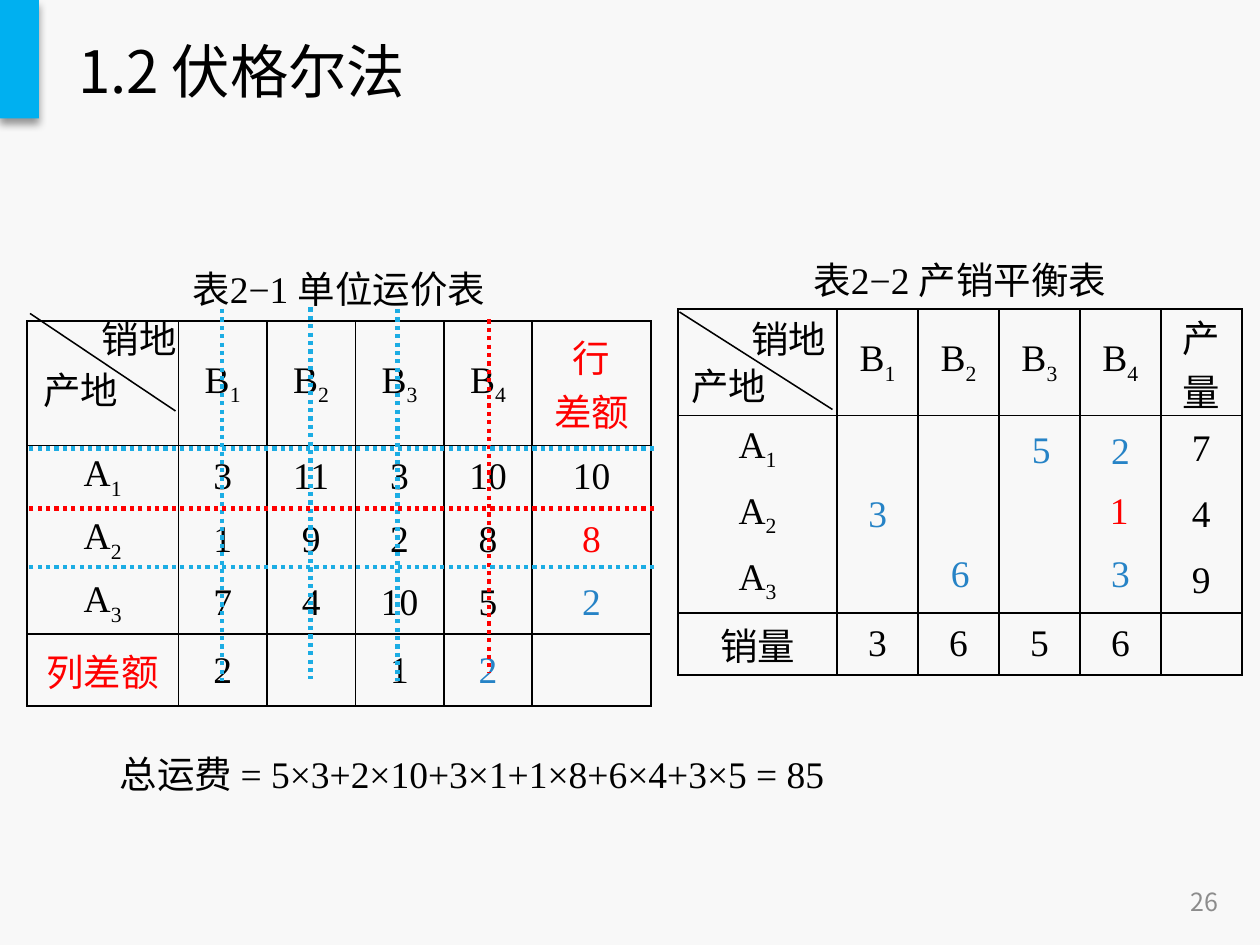
from lxml import etree
from pptx import Presentation
from pptx.dml.color import RGBColor
from pptx.enum.dml import MSO_LINE
from pptx.enum.shapes import MSO_CONNECTOR, MSO_SHAPE
from pptx.enum.text import MSO_ANCHOR, PP_ALIGN
from pptx.oxml.ns import qn
from pptx.util import Inches, Pt

LEFT, CENTER, RIGHT = PP_ALIGN.LEFT, PP_ALIGN.CENTER, PP_ALIGN.RIGHT
JUSTIFY = PP_ALIGN.JUSTIFY
TOP, MIDDLE = MSO_ANCHOR.TOP, MSO_ANCHOR.MIDDLE
DOTTED = MSO_LINE.ROUND_DOT
STRAIGHT = MSO_CONNECTOR.STRAIGHT
RECTANGLE = MSO_SHAPE.RECTANGLE

SANS, SERIF = "Noto Sans CJK SC", "Times New Roman"
BLACK, RED, BLUE, CYAN = "000000", "FF0000", "2683C6", "1CADE4"


def color(value):
    return RGBColor.from_string(value)


def inches(values):
    return [Inches(value) for value in values]


class SlideBuilder:
    def __init__(self, deck, background):
        self.page = deck.slides.add_slide(deck.slide_layouts[5])
        self.shapes = self.page.shapes
        self.page.background.fill.solid()
        self.page.background.fill.fore_color.rgb = color(background)

    def fill_text(self, frame, text, size=18, font=SERIF, ink=BLACK, align=LEFT, spacing=None):
        """Fill a frame; a newline starts a paragraph, an underscore a subscript."""
        for index, line in enumerate(text.split("\n")):
            para = frame.paragraphs[0] if index == 0 else frame.add_paragraph()
            for name, value in {"alignment": align, "line_spacing": spacing}.items():
                setattr(para, name, value)
            for part, content in enumerate(line.split("_")):
                span = para.add_run()
                span.text = content
                for name, value in {"name": font, "size": Pt(size), "bold": False}.items():
                    setattr(span.font, name, value)
                span.font.color.rgb = color(ink)
                properties = span._r.get_or_add_rPr()
                etree.SubElement(properties, qn("a:ea"), typeface=SANS)
                if part:
                    properties.set("baseline", "-25000")

    def title(self, at, text, **style):
        box = self.shapes.title
        for name, value in zip(("left", "top", "width", "height"), inches(at)):
            setattr(box, name, value)
        box.text_frame.vertical_anchor = MIDDLE
        self.fill_text(box.text_frame, text, **style)

    def text(self, at, text, anchor=TOP, **style):
        frame = self.shapes.add_textbox(*inches(at)).text_frame
        frame.word_wrap = True
        frame.vertical_anchor = anchor
        self.fill_text(frame, text, **style)

    def accent(self, at, fill):
        """Draw a borderless bar with a soft shadow below it."""
        bar = self.shapes.add_shape(RECTANGLE, *inches(at))
        bar.shadow.inherit = False
        bar.fill.solid()
        bar.fill.fore_color.rgb = color(fill)
        bar.line.fill.background()
        effects = bar._element.spPr.find(qn("a:effectLst"))
        shadow = etree.SubElement(effects, qn("a:outerShdw"), blurRad=str(Pt(4)),
                                  dist=str(Pt(3)), dir="5400000", rotWithShape="0")
        tint = etree.SubElement(shadow, qn("a:srgbClr"), val=BLACK)
        etree.SubElement(tint, qn("a:alpha"), val="40000")

    def line(self, start, end, ink=BLACK, width=0.75, dash=None):
        line = self.shapes.add_connector(STRAIGHT, *inches(start + end))
        for name, value in {"width": Pt(width), "dash_style": dash}.items():
            setattr(line.line, name, value)
        line.line.color.rgb = color(ink)
        etree.SubElement(line._element.spPr, qn("a:effectLst"))

    def borders(self, cell, sides):
        properties = cell._tc.get_or_add_tcPr()
        for side in "LRTB":
            edge = etree.SubElement(properties, qn(f"a:ln{side}"), w=str(Pt(1)))
            if side in sides:
                fill = etree.SubElement(edge, qn("a:solidFill"))
                etree.SubElement(fill, qn("a:srgbClr"), val=BLACK)
            else:
                etree.SubElement(edge, qn("a:noFill"))

    def table(self, left, top, columns, heights, rows):
        """Draw a table whose first row is a caption across all columns."""
        frame = self.shapes.add_table(len(rows), len(columns),
                                      *inches((left, top, sum(columns), sum(heights))))
        table = frame.table
        for name in ("first_row", "horz_banding"):
            setattr(table, name, False)
        for column, width in zip(table.columns, columns):
            column.width = Inches(width)
        row_sides = ("B", "LTRB", "LTR", "LR", "LRB", "LTRB")
        for row, height, values, sides in zip(table.rows, heights, rows, row_sides):
            row.height = Inches(height)
            for cell, value in zip(row.cells, values):
                self.borders(cell, sides)
                cell.fill.background()
                cell.vertical_anchor = MIDDLE
                cell.margin_top = cell.margin_bottom = 0
                text, ink = value if isinstance(value, tuple) else (value, BLACK)
                if text:
                    self.fill_text(cell.text_frame, text, ink=ink, align=CENTER)
        table.cell(0, 0).merge(table.cell(0, len(columns) - 1))

    def corner(self, start, end, market_at, origin_at):
        """Split the header corner between markets and origins."""
        self.line(start, end)
        self.text(market_at, "销地")
        self.text(origin_at, "产地")


def main():
    deck = Presentation()
    deck.slide_width, deck.slide_height = inches((8.4, 6.3))
    slide = SlideBuilder(deck, "F8F8F8")
    slide.accent((0, 0, 0.26, 0.79), "00B0F0")
    slide.title((0.42, 0.16, 7.56, 0.61), "1.2 伏格尔法", size=28, font=SANS)
    slide.text((6.26, 5.84, 1.96, 0.34), "26", anchor=MIDDLE, size=12, font=SANS,
               ink="8C8C8C", align=RIGHT)

    markets = ["B_1", "B_2", "B_3", "B_4"]
    slide.table(0.18, 1.69, [1.01] + [0.59] * 4 + [0.79],
                [0.45, 0.83] + [0.42] * 3 + [0.48], [
        ["表2−1 单位运价表"] + [""] * 5,
        ["", *markets, ("行\n差额", RED)],
        ["A_1", "3", "11", "3", "10", "10"],
        ["A_2", "1", "9", "2", "8", ("8", RED)],
        ["A_3", "7", "4", "10", "5", ("2", BLUE)],
        [("列差额", RED), "2", "", "1", ("2", BLUE), ""],
    ])
    slide.corner((0.2, 2.09), (1.17, 2.74), (0.58, 2.06, 0.78, 0.4), (0.19, 2.4, 0.89, 0.4))

    slide.table(4.52, 1.65, [1.06] + [0.54] * 5,
                [0.41, 0.71] + [0.44] * 3 + [0.41], [
        ["表2−2 产销平衡表"] + [""] * 5,
        ["", *markets, "产量"],
        ["A_1"] + [""] * 4 + ["7"],
        ["A_2"] + [""] * 4 + ["4"],
        ["A_3"] + [""] * 4 + ["9"],
        ["销量", "3", "6", "5", "6", ""],
    ])
    slide.corner((4.53, 2.08), (5.55, 2.73), (4.91, 2.06, 0.79, 0.4), (4.51, 2.37, 1.04, 0.46))

    shipments = [(6.24, 3.62, "6", BLUE), (7.31, 3.62, "3", BLUE), (5.69, 3.22, "3", BLUE),
                 (6.78, 2.79, "5", BLUE), (7.31, 2.8, "2", BLUE), (7.3, 3.2, "1", RED)]
    for left, top, amount, ink in shipments:
        slide.text((left, top, 0.29, 0.4), amount, ink=ink)

    slide.text((0.7, 4.9, 6.93, 0.46), "总运费 = 5×3+2×10+3×1+1×8+6×4+3×5 = 85",
               align=JUSTIFY, spacing=1.2)

    struck_columns = [(1.48, 2.06, 4.54, CYAN), (2.07, 2.05, 4.53, CYAN),
                      (2.65, 2.06, 4.54, CYAN), (3.26, 2.13, 4.49, RED)]
    for x, top, bottom, ink in struck_columns:
        slide.line((x, top), (x, bottom), ink, 2, DOTTED)
    for y, ink in [(2.99, CYAN), (3.78, CYAN), (3.39, RED)]:
        slide.line((4.36, y), (0.18, y), ink, 2, DOTTED)

    deck.save("out.pptx")


if __name__ == "__main__":
    main()
